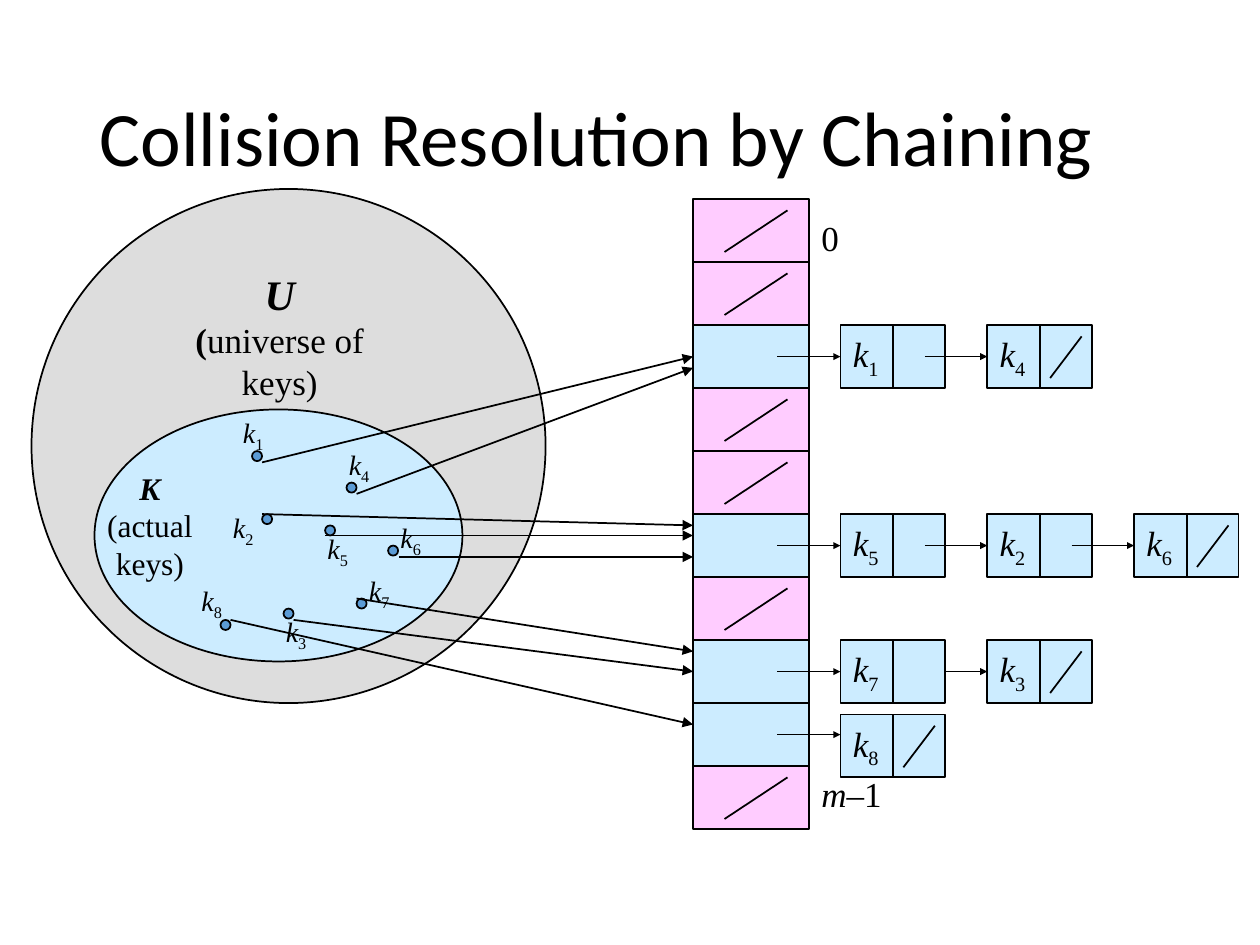
from dataclasses import dataclass

from lxml import etree
from pptx import Presentation
from pptx.dml.color import RGBColor
from pptx.enum.shapes import MSO_CONNECTOR, MSO_SHAPE
from pptx.enum.text import MSO_ANCHOR, MSO_AUTO_SIZE, PP_ALIGN
from pptx.oxml.ns import qn
from pptx.util import Inches, Pt

RECTANGLE, OVAL = MSO_SHAPE.RECTANGLE, MSO_SHAPE.OVAL
STRAIGHT = MSO_CONNECTOR.STRAIGHT
LEFT, CENTER = PP_ALIGN.LEFT, PP_ALIGN.CENTER
MIDDLE = MSO_ANCHOR.MIDDLE
NO_FIT = MSO_AUTO_SIZE.NONE


@dataclass(frozen=True)
class Theme:
    """Colours, fonts and type sizes of the slide."""
    ink: RGBColor = RGBColor(0, 0, 0)
    used: RGBColor = RGBColor(0xCC, 0xEC, 0xFF)
    empty: RGBColor = RGBColor(0xFF, 0xCC, 0xFF)
    universe: RGBColor = RGBColor(0xDD, 0xDD, 0xDD)
    dot: RGBColor = RGBColor(0x5B, 0x9B, 0xD5)
    heading_font: str = "Calibri"
    body_font: str = "Times New Roman"
    title: int = 44
    set_name: int = 24
    body: int = 20
    subset: int = 18
    key: int = 16


@dataclass(frozen=True)
class Span:
    """A stretch of text with one look."""
    text: str
    bold: bool = False
    italic: bool = False
    subscript: bool = False


@dataclass(frozen=True)
class Line:
    """A paragraph of spans in one size."""
    size: int
    spans: tuple[Span, ...]


@dataclass(frozen=True)
class Key:
    """A key with its dot, its label and its arrow into the table."""
    number: int
    dot: tuple[float, float]
    label: tuple[float, float]
    start: tuple[float, float]
    target: float


@dataclass(frozen=True)
class Chain:
    """A table slot and the keys linked from it."""
    slot: int
    keys: tuple[int, ...]
    drop: float = 0
    link_start: float = 0.67


THEME = Theme()
TABLE_LEFT, TABLE_TOP, TABLE_WIDTH = 5.5, 1.58, 0.92
SLOT_COUNT, ROW = 10, 0.5
NODE_LEFT, NODE_WIDTH, NODE_PITCH = 6.67, 0.83, 1.165
DOT = 0.08
KEYS = (
    Key(1, (2, 3.58), (1.83, 3.25), (2.08, 3.67), 2.83),
    Key(4, (2.75, 3.83), (2.67, 3.5), (2.83, 3.92), 2.92),
    Key(2, (2.08, 4.08), (1.75, 4), (2.08, 4.08), 4.17),
    Key(5, (2.58, 4.17), (2.5, 4.17), (2.58, 4.25), 4.25),
    Key(6, (3.08, 4.33), (3.08, 4.08), (3.17, 4.42), 4.42),
    Key(7, (2.83, 4.75), (2.83, 4.5), (2.83, 4.75), 5.17),
    Key(3, (2.25, 4.83), (2.17, 4.83), (2.33, 4.92), 5.33),
    Key(8, (1.75, 4.92), (1.5, 4.58), (1.83, 4.92), 5.75),
)
CHAINS = (
    Chain(2, (1, 4)),
    Chain(5, (5, 2, 6)),
    Chain(7, (7, 3), link_start=NODE_WIDTH),
    Chain(8, (8,), drop=0.09),
)


def key_line(number: int, size: int) -> Line:
    """Return the symbol of a key with its index."""
    return Line(size, (Span("k", italic=True), Span(str(number), subscript=True)))


def write(frame, lines: tuple[Line, ...], align=LEFT, wrap: bool = False) -> None:
    """Fill a text frame with lines."""
    frame.word_wrap = wrap
    for index, line in enumerate(lines):
        para = frame.add_paragraph() if index else frame.paragraphs[0]
        para.alignment = align
        para.font.size = Pt(line.size)
        para.font.name = THEME.body_font
        para.font.color.rgb = THEME.ink
        for span in line.spans:
            run = para.add_run()
            run.text = span.text
            run.font.bold, run.font.italic = span.bold, span.italic
            if span.subscript:
                run._r.get_or_add_rPr().set("baseline", "-25000")


def add_text(page, left: float, top: float, width: float, height: float,
             lines: tuple[Line, ...], align=LEFT, wrap: bool = False) -> None:
    """Add a text box."""
    box = page.shapes.add_textbox(Inches(left), Inches(top), Inches(width), Inches(height))
    write(box.text_frame, lines, align, wrap)


def add_figure(page, kind, left: float, top: float, width: float, height: float,
               fill: RGBColor):
    """Add a filled shape with a thin outline."""
    figure = page.shapes.add_shape(kind, Inches(left), Inches(top), Inches(width), Inches(height))
    figure.shadow.inherit = False
    figure.fill.solid()
    figure.fill.fore_color.rgb = fill
    figure.line.color.rgb = THEME.ink
    figure.line.width = Pt(1)
    return figure


def add_line(page, start: tuple[float, float], end: tuple[float, float],
             head: str = "") -> None:
    """Add a straight line, with an arrowhead when a head size is given."""
    line = page.shapes.add_connector(STRAIGHT, *(Inches(value) for value in start + end))
    line.line.color.rgb = THEME.ink
    line.line.width = Pt(1)
    properties = line._element.spPr
    if head:
        tail = etree.SubElement(properties.find(qn("a:ln")), qn("a:tailEnd"))
        for name, value in (("type", "triangle"), ("w", head), ("len", head)):
            tail.set(name, value)
    etree.SubElement(properties, qn("a:effectLst"))


def add_title(page) -> None:
    """Place and format the slide title."""
    title = page.shapes.title
    title.left, title.top = Inches(0.69), Inches(0.4)
    title.width, title.height = Inches(8.62), Inches(1.45)
    frame = title.text_frame
    frame.text = "Collision Resolution by Chaining"
    frame.auto_size, frame.vertical_anchor = NO_FIT, MIDDLE
    para = frame.paragraphs[0]
    para.alignment, para.line_spacing = LEFT, 0.9
    para.font.name, para.font.size = THEME.heading_font, Pt(THEME.title)
    para.font.color.rgb = THEME.ink


def add_table_slots(page) -> None:
    """Draw the hash table with a slash in each empty slot."""
    used = {chain.slot for chain in CHAINS}
    for slot in range(SLOT_COUNT):
        top = TABLE_TOP + slot * ROW
        fill = THEME.used if slot in used else THEME.empty
        add_figure(page, RECTANGLE, TABLE_LEFT, top, TABLE_WIDTH, ROW, fill)
        if slot not in used:
            add_line(page, (6.25, top + 0.09), (5.75, top + 0.42))
    add_text(page, 6.42, 1.67, 0.34, 0.43, (Line(THEME.body, (Span("0"),)),))
    last = Line(THEME.body, (Span("m", italic=True), Span("–1")))
    add_text(page, 6.42, 6.08, 0.68, 0.43, (last,))


def add_key_sets(page) -> None:
    """Draw the universe, the actual keys and their arrows."""
    add_figure(page, OVAL, 0.25, 1.5, 4.08, 4.08, THEME.universe)
    add_figure(page, OVAL, 0.75, 3.25, 2.92, 2, THEME.used)
    add_text(page, 1.12, 2.08, 2.2, 0.83, (
        Line(THEME.set_name, (Span("U", True, True),)),
        Line(THEME.body, (Span("(", True), Span("universe of keys)"))),
    ), CENTER, True)
    add_text(page, 0.75, 3.67, 0.88, 1, (
        Line(THEME.subset, (Span("K", True, True),)),
        Line(THEME.subset, (Span("(actual"),)),
        Line(THEME.subset, (Span("keys)"),)),
    ), CENTER)
    for key in KEYS:
        add_figure(page, OVAL, *key.dot, DOT, DOT, THEME.dot)
        add_text(page, *key.label, 0.38, 0.37, (key_line(key.number, THEME.key),))
        add_line(page, key.start, (TABLE_LEFT, key.target), "med")


def add_chain(page, chain: Chain) -> None:
    """Draw the linked nodes of one slot."""
    slot_top = TABLE_TOP + chain.slot * ROW
    top, middle = slot_top + chain.drop, slot_top + ROW / 2
    start = 6.17
    for index, number in enumerate(chain.keys):
        left = NODE_LEFT + index * NODE_PITCH
        node = add_figure(page, RECTANGLE, left, top, NODE_WIDTH, ROW, THEME.used)
        node.text_frame.vertical_anchor = MIDDLE
        write(node.text_frame, (key_line(number, THEME.body),), wrap=True)
        add_line(page, (left + 0.42, top), (left + 0.42, top + ROW))
        add_line(page, (start, middle), (left, middle), "sm")
        start = left + chain.link_start
    add_line(page, (left + 0.75, top + 0.09), (left + 0.5, top + 0.42))


def main() -> None:
    """Build and save the slide."""
    deck = Presentation()
    deck.slide_width, deck.slide_height = Inches(10), Inches(7.5)
    page = deck.slides.add_slide(deck.slide_layouts[5])
    add_title(page)
    add_table_slots(page)
    add_key_sets(page)
    for chain in CHAINS:
        add_chain(page, chain)
    deck.save("out.pptx")


main()
